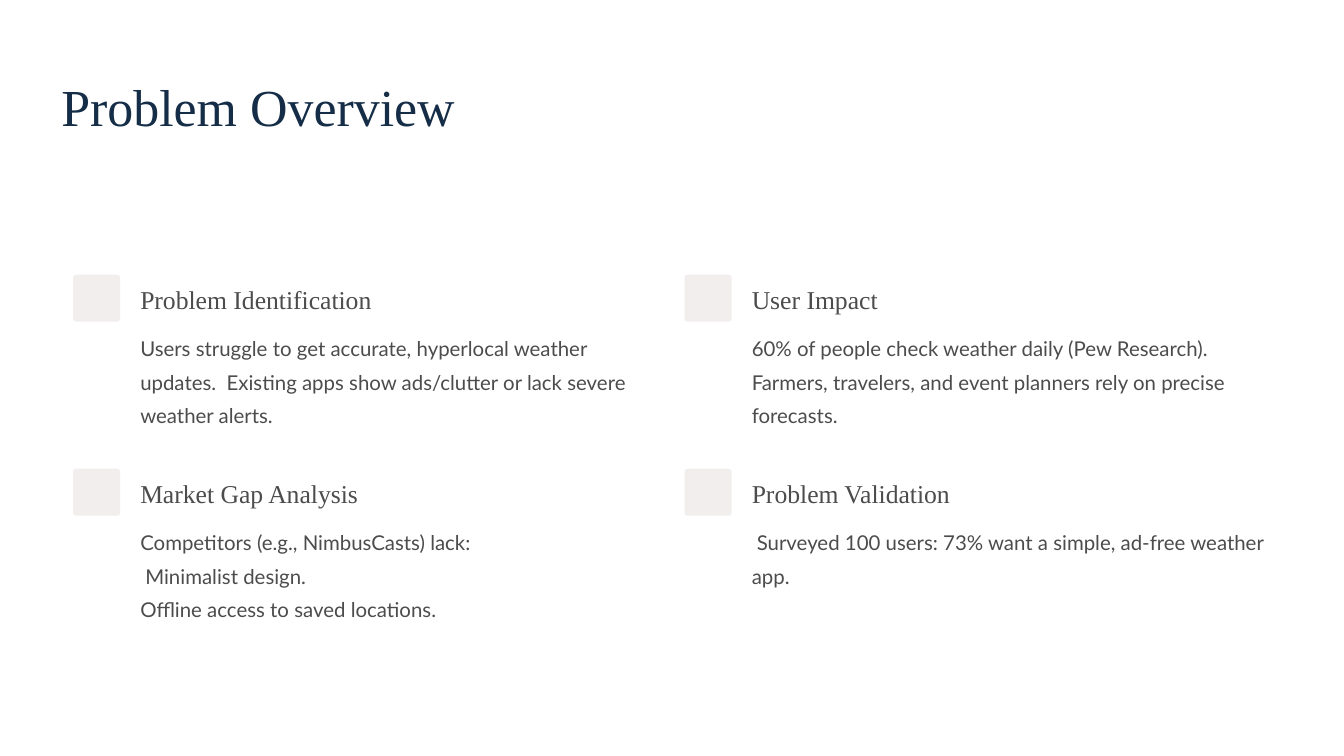
from pptx import Presentation
from pptx.dml.color import RGBColor
from pptx.enum.shapes import MSO_SHAPE
from pptx.util import Inches, Pt

HEADING_FONT = "Times New Roman"
BODY_FONT = "Lato"
NAVY = "152D47"
GREY = "4C4C4D"
TILE = "F2EEEE"
FIRST_LINE_INDENT = Inches(0.06)

COLUMNS = [0.87, 8.15]
ROWS = [3.27, 5.58]
TOPICS = [
    ("Problem Identification",
     ["Users struggle to get accurate, hyperlocal weather updates.  Existing apps "
      "show ads/clutter or lack severe weather alerts."], None),
    ("User Impact",
     ["60% of people check weather daily (Pew Research).  Farmers, travelers, and "
      "event planners rely on precise forecasts."], None),
    ("Market Gap Analysis",
     ["Competitors (e.g., NimbusCasts) lack:",
      "Minimalist design.",
      "Offline access to saved locations."], 1),
    ("Problem Validation",
     ["Surveyed 100 users: 73% want a simple, ad-free weather app."], 0),
]


def color(value):
    """Turn a hex string into a colour."""
    return RGBColor.from_string(value)


def add_text(page, place, lines, font, size, spacing, ink, wrap=False, indented=None):
    """Add a text box without margins, one paragraph for each line."""
    box = page.shapes.add_textbox(*[Inches(length) for length in place])
    frame = box.text_frame
    frame.word_wrap = wrap
    frame.margin_left = frame.margin_right = 0
    frame.margin_top = frame.margin_bottom = 0
    frame.text = "\n".join(lines)
    for index, para in enumerate(frame.paragraphs):
        para.line_spacing = Pt(spacing)
        if index == indented:
            para._p.get_or_add_pPr().set("indent", str(FIRST_LINE_INDENT))
        for span in para.runs:
            span.font.name = font
            span.font.size = Pt(size)
            span.font.color.rgb = color(ink)


def add_tile(page, left, top):
    """Add the rounded square beside a topic."""
    tile = page.shapes.add_shape(MSO_SHAPE.ROUNDED_RECTANGLE, Inches(left),
                                 Inches(top), Inches(0.56), Inches(0.56))
    tile.adjustments[0] = 0.067
    tile.shadow.inherit = False
    tile.fill.solid()
    tile.fill.fore_color.rgb = color(TILE)
    tile.line.fill.background()


def add_topic(page, left, top, heading, lines, indented):
    """Add a tile with its heading and description."""
    add_tile(page, left, top)
    add_text(page, (left + 0.8, top + 0.09, 3.1, 0.39), [heading],
             HEADING_FONT, 22, 27.5, GREY)
    add_text(page, (left + 0.8, top + 0.63, 6.17, 1.19), lines,
             BODY_FONT, 17.5, 28.5, GREY, wrap=True, indented=indented)


def main():
    """Build the slide and save it."""
    deck = Presentation()
    deck.slide_width = Inches(16)
    deck.slide_height = Inches(9)
    page = deck.slides.add_slide(deck.slide_layouts[6])
    add_text(page, (0.73, 0.86, 6.2, 0.78), ["Problem Overview"],
             HEADING_FONT, 44.5, 55.5, NAVY)
    for index, topic in enumerate(TOPICS):
        row, column = divmod(index, len(COLUMNS))
        add_topic(page, COLUMNS[column], ROWS[row], *topic)
    deck.save("out.pptx")


if __name__ == "__main__":
    main()
